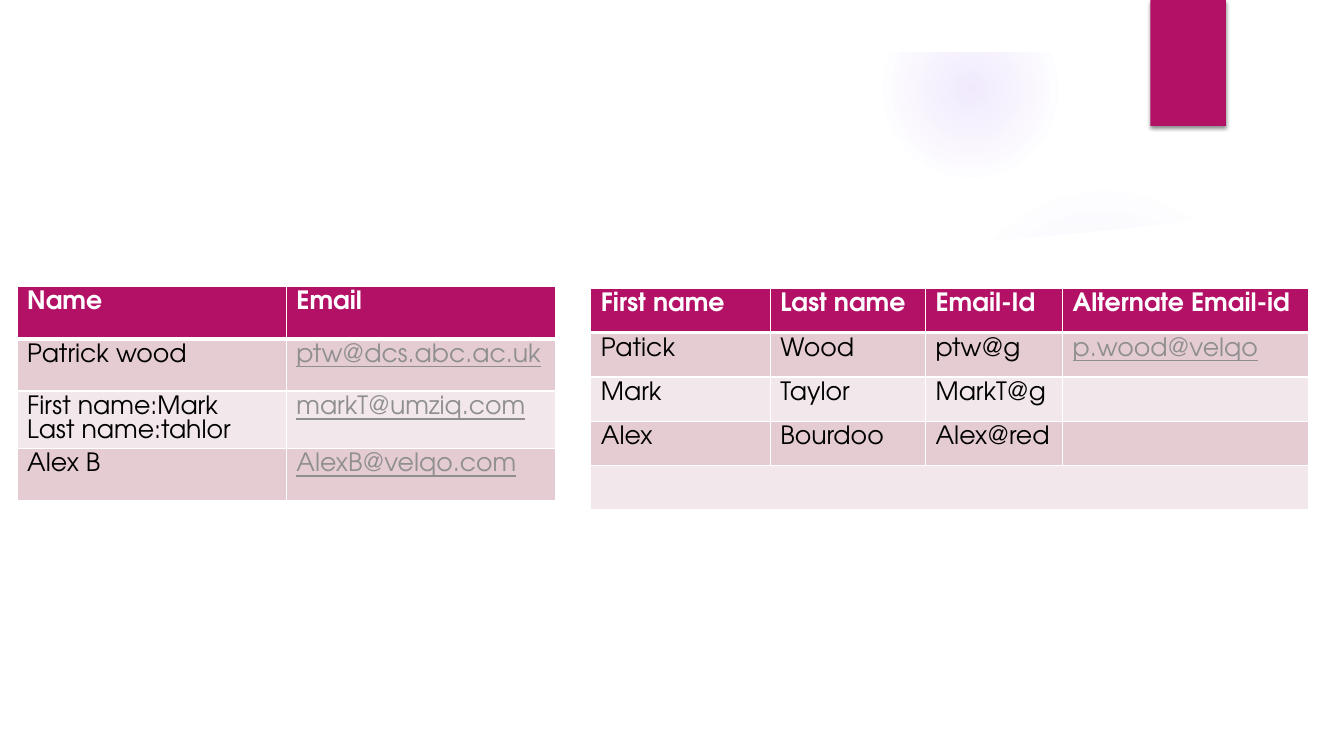
"""Build a slide setting a loose contact list beside its normalised form."""
from dataclasses import dataclass
from typing import Any, NamedTuple

from pptx import Presentation, oxml
from pptx import util as u
from pptx.dml import color
from pptx.enum import shapes
from pptx.oxml import ns

FONT = "TeX Gyre Adventor"
WHITE, BLACK, MAGENTA, VIOLET, GREY = "FFFFFF", "000000", "B31166", "9B6BF2", "8F8F8F"
BANDS = ("E5CCD3", "F2E7EA")
BODY_FORMAT = {"name": FONT, "size": u.Pt(18), "bold": False, "underline": False}
HEADER_FORMAT = BODY_FORMAT | {"bold": True}
LINK_FORMAT = BODY_FORMAT | {"underline": True}
Point = tuple[float, float]


class Entry(NamedTuple):
    text: str = ""
    is_link: bool = False


class Glow(NamedTuple):
    left: float
    top: float
    size: float
    stops: tuple[tuple[int, int], ...]


@dataclass
class ContactTable:
    left: float
    top: float
    columns: tuple[float, ...]
    row_height: float
    rows: list[list[Entry]]
    merge_last: bool = False


GLOWS = (
    Glow(9.41, 1.83, 3.08, ((0, 7), (36, 6), (69, 0))),
    Glow(8.75, 0.01, 1.75, ((0, 14), (36, 7), (73, 0))),
)
WAVE = [(9.3, 2.43), (9.79, 2.37), (10.2, 2.3), (10.64, 2.23), (11.09, 2.14),
        (11.55, 2.03), (12.02, 1.91), (12.48, 1.78), (12.83, 1.66),
        (12.89, 2.14), (11.8, 2.3), (10.4, 2.46), (9.34, 2.5)]
PANEL = [(0.5, 2.04), (1.59, 2.18), (2.83, 2.3), (4.44, 2.41), (5.83, 2.46),
         (7.08, 2.48), (8.4, 2.46), (9.49, 2.41), (10.32, 2.35), (11.16, 2.27),
         (12, 2.17), (12.84, 2.04), (12.84, 7), (0.5, 7)]
TOP_MARGIN = [(0, 0), (13.33, 0), (13.33, 0.52), (0, 0.52)]

CONTACTS = (
    ContactTable(0.17, 2.84, (2.67, 2.67), 0.52, [
        [Entry("Name"), Entry("Email")],
        [Entry("Patrick wood"), Entry("ptw@dcs.abc.ac.uk", True)],
        [Entry("First name:Mark\nLast name:tahlor"), Entry("markT@umziq.com", True)],
        [Entry("Alex B"), Entry("AlexB@velqo.com", True)],
    ]),
    ContactTable(5.86, 2.86, (1.78, 1.54, 1.36, 2.44), 0.44, [
        [Entry("First name"), Entry("Last name"), Entry("Email-Id"), Entry("Alternate Email-id")],
        [Entry("Patick"), Entry("Wood"), Entry("ptw@g"), Entry("p.wood@velqo", True)],
        [Entry("Mark"), Entry("Taylor"), Entry("MarkT@g"), Entry()],
        [Entry("Alex"), Entry("Bourdoo"), Entry("Alex@red"), Entry()],
        [Entry()] * 4,
    ], merge_last=True),
)


def rgb(value: str) -> color.RGBColor:
    return color.RGBColor.from_string(value)


def element(tag: str, attributes: str, content: str = "") -> Any:
    return oxml.parse_xml(f'<a:{tag} {ns.nsdecls("a")} {attributes}>{content}</a:{tag}>')


def paint(target: Any, fill: str) -> None:
    target.fill.solid()
    target.fill.fore_color.rgb = rgb(fill)


def draw_glow(slide: Any, glow: Glow) -> None:
    box = (u.Inches(n) for n in (glow.left, glow.top, glow.size, glow.size))
    halo = slide.shapes.add_shape(shapes.MSO_SHAPE.OVAL, *box)
    halo.shadow.inherit = False
    halo.line.fill.background()
    stops = "".join(
        f'<a:gs pos="{place * 1000}"><a:srgbClr val="{VIOLET}">'
        f'<a:alpha val="{alpha * 1000}"/></a:srgbClr></a:gs>'
        for place, alpha in glow.stops)
    centre = '<a:fillToRect l="50000" t="50000" r="50000" b="50000"/>'
    gradient = element("gradFill", "", f'<a:gsLst>{stops}</a:gsLst><a:path path="circle">{centre}</a:path>')
    halo.element.spPr.find(ns.qn("a:prstGeom")).addnext(gradient)


def draw_outline(slide: Any, points: list[Point], opacity: int = 100) -> None:
    start, *rest = [(u.Inches(x), u.Inches(y)) for x, y in points]
    builder = slide.shapes.build_freeform(*start)
    builder.add_line_segments(rest)
    cover = builder.convert_to_shape()
    cover.shadow.inherit = False
    cover.line.fill.background()
    paint(cover, WHITE)
    if opacity < 100:
        tint = cover.element.spPr.find(f'{ns.qn("a:solidFill")}/{ns.qn("a:srgbClr")}')
        tint.append(element("alpha", f'val="{opacity * 1000}"'))


def draw_ribbon(slide: Any) -> None:
    box = (u.Inches(n) for n in (11.41, 0, 0.75, 1.25))
    ribbon = slide.shapes.add_shape(shapes.MSO_SHAPE.RECTANGLE, *box)
    ribbon.shadow.inherit = False
    ribbon.line.fill.background()
    paint(ribbon, MAGENTA)
    shade = f'<a:srgbClr val="{BLACK}"><a:alpha val="45000"/></a:srgbClr>'
    ribbon.element.spPr.find(ns.qn("a:effectLst")).append(element(
        "outerShdw", f'blurRad="{u.Pt(3)}" dist="{u.Pt(2)}" dir="5400000" rotWithShape="0"', shade))


def draw_borders(cell: Any, row: int) -> None:
    widths = {"L": 1, "R": 1, "T": 3 if row == 1 else 1, "B": 3 if row == 0 else 1}
    for side, width in widths.items():
        cell._tc.get_or_add_tcPr().append(element(
            f"ln{side}", f'w="{u.Pt(width)}"',
            f'<a:solidFill><a:srgbClr val="{WHITE}"/></a:solidFill>'))


def fill_cell(cell: Any, entry: Entry, row: int) -> None:
    draw_borders(cell, row)
    paint(cell, BANDS[(row - 1) % 2] if row else MAGENTA)
    if row == 0:
        values, ink = HEADER_FORMAT, WHITE
    elif entry.is_link:
        values, ink = LINK_FORMAT, GREY
    else:
        values, ink = BODY_FORMAT, BLACK
    cell.text = entry.text
    for paragraph in cell.text_frame.paragraphs:
        for font in [paragraph.font, *(run.font for run in paragraph.runs)]:
            for attribute, value in values.items():
                setattr(font, attribute, value)
            font.color.rgb = rgb(ink)


def draw_contacts(slide: Any, contacts: ContactTable) -> None:
    count = len(contacts.rows)
    grid = slide.shapes.add_table(
        count, len(contacts.columns), u.Inches(contacts.left), u.Inches(contacts.top),
        u.Inches(sum(contacts.columns)), u.Inches(contacts.row_height * count)).table
    for column, width in zip(grid.columns, contacts.columns):
        column.width = u.Inches(width)
    for row, entries in enumerate(contacts.rows):
        grid.rows[row].height = u.Inches(contacts.row_height)
        for column, entry in enumerate(entries):
            fill_cell(grid.cell(row, column), entry, row)
    if contacts.merge_last:
        grid.cell(count - 1, 0).merge(grid.cell(count - 1, len(contacts.columns) - 1))


def main() -> None:
    deck = Presentation()
    deck.slide_width, deck.slide_height = u.Inches(13.33), u.Inches(7.5)
    slide = deck.slides.add_slide(deck.slide_layouts[6])
    for glow in GLOWS:
        draw_glow(slide, glow)
    draw_outline(slide, WAVE, opacity=20)
    for points in (PANEL, TOP_MARGIN):
        draw_outline(slide, points)
    draw_ribbon(slide)
    for contacts in CONTACTS:
        draw_contacts(slide, contacts)
    deck.save("out.pptx")


if __name__ == "__main__":
    main()
